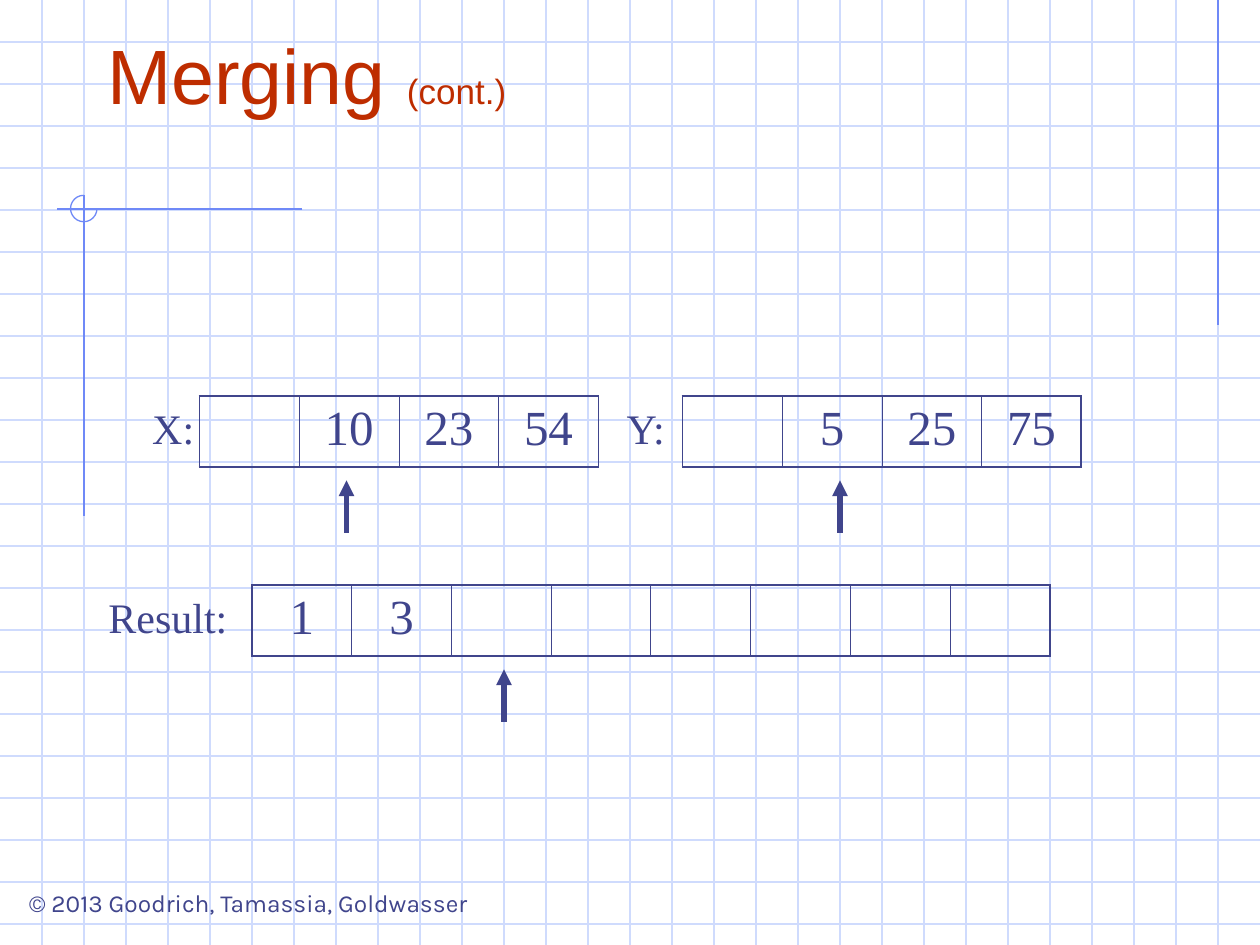
"""Build the slide that shows one step of merging two sorted lists."""
from lxml import etree
from pptx import Presentation
from pptx.dml.color import RGBColor
from pptx.enum.shapes import MSO_CONNECTOR, MSO_SHAPE
from pptx.enum.text import MSO_ANCHOR, PP_ALIGN
from pptx.oxml import parse_xml
from pptx.oxml.ns import nsdecls, qn
from pptx.util import Inches, Pt

LINE = MSO_CONNECTOR.STRAIGHT
ARC = MSO_SHAPE.ARC
LOW = MSO_ANCHOR.BOTTOM
LEFT, MID = PP_ALIGN.LEFT, PP_ALIGN.CENTER
INK, RED, PALE, BLUE = "40458C", "BE2D00", "CFDBFD", "6F89F7"
SERIF = "Times New Roman"
UNIT = Inches(1) // 12
WIDE, HIGH = 120, 90
CELL, TALL = 9.5, 6.8


def style(font, size, name, hue=INK):
    """Set the size, face and colour of a font."""
    font.size, font.name = Pt(size), name
    font.color.rgb = RGBColor.from_string(hue)


def wire(x1, y1, x2, y2, hue, width=0.75):
    """Draw a plain line between two points given in grid units."""
    ends = [round(v * UNIT) for v in (x1, y1, x2, y2)]
    line = slide.shapes.add_connector(LINE, *ends)
    line.line.color.rgb = RGBColor.from_string(hue)
    line.line.width = Pt(width)
    etree.SubElement(line.element.spPr, qn("a:effectLst"))
    return line


deck = Presentation()
deck.slide_width, deck.slide_height = WIDE * UNIT, HIGH * UNIT
slide = deck.slides.add_slide(deck.slide_layouts[5])

for y in range(4, HIGH, 4):
    wire(0, y, WIDE, y, PALE)
for x in range(4, WIDE, 4):
    wire(x, 0, x, HIGH, PALE)
for ends in [(116, 0, 116, 31), (28.8, 19.9, 5.4, 19.9), (8, 18.6, 8, 49.1)]:
    wire(*ends, BLUE)

ring = slide.shapes.add_shape(ARC, Inches(0.56), Inches(1.55), Inches(0.21), Inches(0.21))
ring.adjustments[0], ring.adjustments[1] = 0, 162
ring.shadow.inherit = False
ring.fill.background()
ring.line.color.rgb = RGBColor.from_string(BLUE)
ring.line.width = Pt(0.75)

title = slide.shapes.title
title.element.getparent().append(title.element)
title.left, title.top, title.width, title.height = 9 * UNIT, 2 * UNIT, 102 * UNIT, 10 * UNIT
title.text_frame.vertical_anchor = LOW
head = title.text_frame.paragraphs[0]
head.alignment = LEFT
for text, size in [("Merging ", 44), ("(cont.)", 20)]:
    run = head.add_run()
    run.text = text
    style(run.font, size, "Arial", RED)

lists = [
    (19, 37.7, ["", "10", "23", "54"]),
    (65, 37.7, ["", "5", "25", "75"]),
    (24, 55.7, ["1", "3"] + [""] * 6),
]
for x, y, row in lists:
    count = len(row)
    spot = [round(v * UNIT) for v in (x, y, CELL * count, TALL)]
    table = slide.shapes.add_table(1, count, *spot).table
    table.first_row = table.horz_banding = False
    for i, text in enumerate(row):
        cell = table.cell(0, i)
        cell.fill.background()
        part = cell.text_frame.paragraphs[0]
        part.text, part.alignment = text, MID
        style(part.font, 28, SERIF)
        outer = {"L": i == 0, "R": i == count - 1, "T": True, "B": True}
        props = cell._tc.get_or_add_tcPr()
        for k, (side, bold) in enumerate(outer.items()):
            width = Pt(1.08 if bold else 0.45)
            props.insert(k, parse_xml(
                f'<a:ln{side} {nsdecls("a")} w="{width}"><a:solidFill>'
                f'<a:srgbClr val="{INK}"/></a:solidFill></a:ln{side}>'))

for x, y in [(33, 50.75), (80, 50.75), (48, 68.75)]:
    arrow = wire(x, y, x, y - 5, INK, 3)
    etree.SubElement(arrow.line._get_or_add_ln(), qn("a:tailEnd"), type="triangle")

notes = [
    ("© 2013 Goodrich, Tamassia, Goldwasser", 0.4, 84, 46.5, 4, 14, "Karla", False),
    ("X:", 13, 37.7, 7, 6, 24, SERIF, True),
    ("Y:", 58, 37.7, 7, 6, 24, SERIF, True),
    ("Result:", 9, 55.7, 14, 6, 24, SERIF, True),
]
for text, x, y, w, h, size, face, wrap in notes:
    box = slide.shapes.add_textbox(*[round(v * UNIT) for v in (x, y, w, h)])
    box.text_frame.word_wrap = wrap
    part = box.text_frame.paragraphs[0]
    part.text, part.alignment = text, MID
    style(part.font, size, face)

deck.save("out.pptx")
